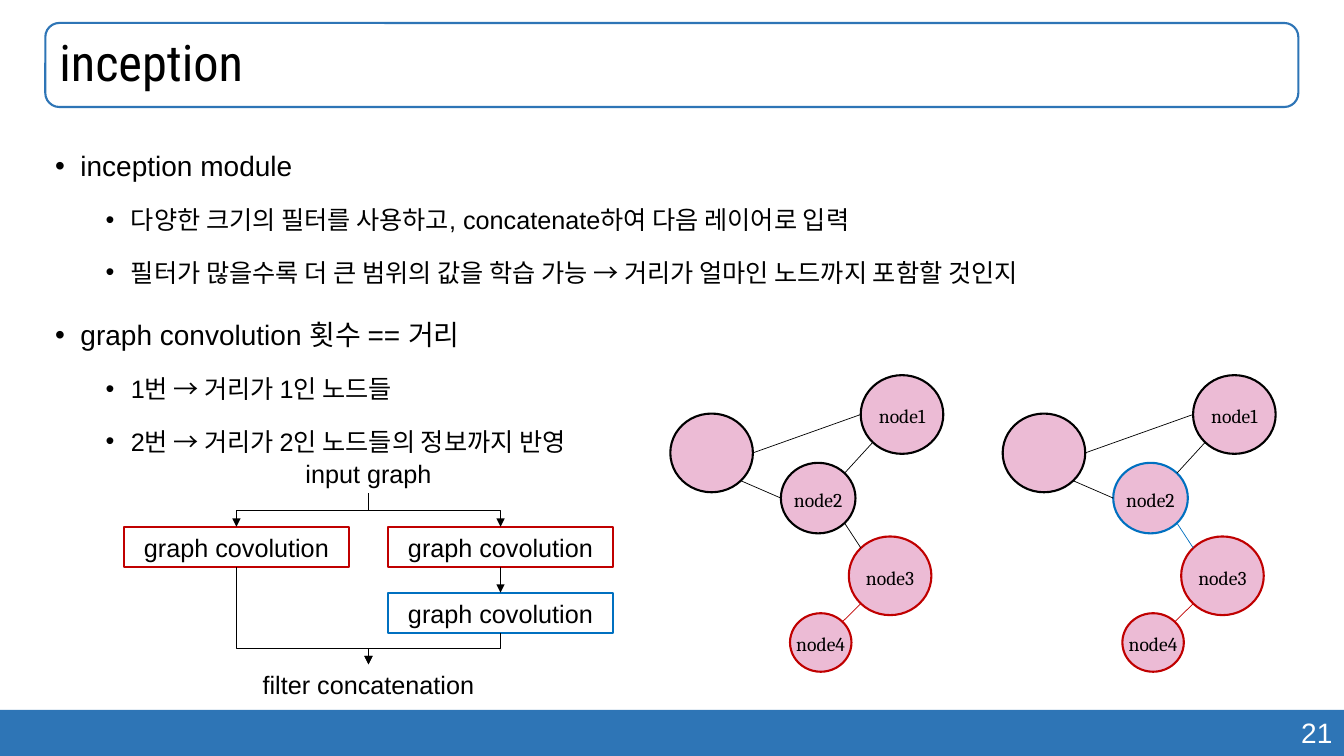
from dataclasses import dataclass

from lxml import etree
from pptx import Presentation
from pptx import util as u
from pptx.dml import color
from pptx.enum import shapes, text
from pptx.oxml import ns


@dataclass(frozen=True)
class Theme:
    bar: str = "2E75B6"
    ink: str = "000000"
    paper: str = "FFFFFF"
    red: str = "C00000"
    blue: str = "0070C0"
    pink: str = "E59FC4"
    pink_alpha: int = 70
    title_font: str = "Roboto Condensed"
    body_font: str = "Arial"
    node_font: str = "Cambria"
    title_size: int = 36
    body_size: int = 20
    detail_size: int = 18
    node_size: int = 14
    outline: float = 1.5
    hairline: float = 0.5


T = Theme()
PRESET = shapes.MSO_SHAPE
ALIGN = text.PP_ALIGN
ANCHOR = text.MSO_ANCHOR


def rgb(value):
    return color.RGBColor.from_string(value)


def sub(parent, tag, **attrs):
    """Append an XML child such as a:tailEnd."""
    return etree.SubElement(parent, ns.qn(tag), attrs)


def add_run(p, content, size, font=T.body_font, ink=T.ink):
    r = p.add_run()
    r.text = content
    r.font.size = u.Pt(size)
    r.font.name = font
    r.font.color.rgb = rgb(ink)


def add_box(parent, preset, box, fill=None, line=None):
    sp = parent.add_shape(preset, *map(u.Pt, box))
    sp.shadow.inherit = False
    if fill:
        sp.fill.solid()
        sp.fill.fore_color.rgb = rgb(fill)
    else:
        sp.fill.background()
    if line:
        sp.line.color.rgb = rgb(line)
        sp.line.width = u.Pt(T.outline)
    else:
        sp.line.fill.background()
    return sp


def add_label(sp, content, size, font=T.body_font, ink=T.ink,
              align=ALIGN.CENTER, anchor=ANCHOR.MIDDLE):
    tf = sp.text_frame
    tf.word_wrap = True
    tf.vertical_anchor = anchor
    p = tf.paragraphs[0]
    p.alignment = align
    add_run(p, content, size, font, ink)
    return p


def add_line(parent, start, end, ink=T.ink, arrow=False, kind="STRAIGHT"):
    c = parent.add_connector(shapes.MSO_CONNECTOR[kind], *map(u.Pt, (*start, *end)))
    c.line.color.rgb = rgb(ink)
    c.line.width = u.Pt(T.hairline)
    if arrow:
        sub(c.line._get_or_add_ln(), "a:tailEnd", type="triangle")
    sub(c._element.spPr, "a:effectLst")
    return c


def add_elbow(parent, start, end, bend_y):
    """Arrow going down, across at bend_y, then down again."""
    (x1, y1), (x2, y2) = start, end
    drop, run = y2 - y1, abs(x2 - x1)
    left, top = (x1 + x2 - drop) / 2, (y1 + y2 - run) / 2
    c = add_line(parent, (left, top), (left + drop, top + run), arrow=True, kind="ELBOW")
    xfrm = c._element.spPr.find(ns.qn("a:xfrm"))
    xfrm.set("rot", str((90 if x2 < x1 else 270) * 60000))
    if x2 > x1:
        xfrm.set("flipH", "1")
    guides = c._element.spPr.find(ns.qn("a:prstGeom")).find(ns.qn("a:avLst"))
    bend = round((bend_y - y1) / drop * 100000)
    sub(guides, "a:gd", name="adj1", fmla=f"val {bend}")


def footer(s, box, number):
    add_box(s.shapes, PRESET.RECTANGLE, box, fill=T.bar)
    x, y, w, h = box
    tb = s.shapes.add_textbox(*map(u.Pt, (x + w - 282, y + 0.7, 280.8, 31.5)))
    add_label(tb, number, T.body_size, ink=T.paper, align=ALIGN.RIGHT, anchor=ANCHOR.TOP)


def title_bar(s, box, title):
    sp = add_box(s.shapes, PRESET.ROUNDED_RECTANGLE, box, line=T.bar)
    sp.text_frame.margin_left = u.Pt(7.2)
    p = add_label(sp, title, T.title_size, T.title_font, align=ALIGN.LEFT)
    p.line_spacing = 0.9


def bullets(s, box, items):
    tf = s.shapes.add_textbox(*map(u.Pt, box)).text_frame
    tf.word_wrap = True
    for i, (level, content) in enumerate(items):
        p = tf.paragraphs[0] if i == 0 else tf.add_paragraph()
        p.level = level
        p.line_spacing = 1.5
        if i:
            p.space_before = u.Pt(5 if level else 10)
        pPr = p._p.get_or_add_pPr()
        pPr.set("marL", str(u.Pt(18 + 36 * level)))
        pPr.set("indent", str(-u.Pt(18)))
        sub(pPr, "a:buFont", typeface=T.body_font)
        sub(pPr, "a:buChar", char="•")
        add_run(p, content, T.detail_size if level else T.body_size)


def inception_flow(s, box):
    g = s.shapes.add_group_shape().shapes
    x, y, w, h = box
    bw, bh = 160.6, 29
    left, mid, right = x + bw / 2, x + w / 2, x + w - bw / 2
    first_y, second_y, out_y = y + 53, y + 100, y + h - bh

    def step(cx, top, content, line=None, width=bw):
        sp = add_box(g, PRESET.RECTANGLE, (cx - width / 2, top, width, bh), line=line)
        add_label(sp, content, T.detail_size)
        return sp

    step(mid, y, "input graph")
    step(left, first_y, "graph covolution", T.red)
    first = step(right, first_y, "graph covolution", T.red)
    second = step(right, second_y, "graph covolution", T.blue)
    step(mid, out_y, "filter concatenation", width=232)

    split_y, join_y = (y + bh + first_y) / 2, (second_y + bh + out_y) / 2
    for cx, last_y in ((left, first_y), (right, second_y)):
        add_elbow(g, (mid, y + bh), (cx, first_y), split_y)
        add_elbow(g, (cx, last_y + bh), (mid, out_y), join_y)
    c = add_line(g, (right, first_y + bh), (right, second_y), arrow=True)
    c.begin_connect(first, 2)
    c.end_connect(second, 0)


def node_graph(s, box, node2_ink):
    """Five nodes; node2 and its link to node3 take node2_ink."""
    g = s.shapes.add_group_shape().shapes
    x, y = box[:2]
    nodes = {
        "": (0, 27.4, 59, 56.2, T.ink),
        "node1": (136, 0, 59, 56.2, T.ink),
        "node3": (127.5, 115.2, 59, 56.2, T.red),
        "node2": (79, 62.6, 53.3, 50.4, node2_ink),
        "node4": (85.5, 170, 43.9, 41.8, T.red),
    }
    for name, (dx, dy, w, h, ink) in nodes.items():
        sp = add_box(g, PRESET.OVAL, (x + dx, y + dy, w, h), T.pink, ink)
        fill = sp._element.spPr.find(ns.qn("a:solidFill"))
        sub(fill[0], "a:alpha", val=str(T.pink_alpha * 1000))
        if name:
            add_label(sp, name, T.node_size, T.node_font)
            tf = sp.text_frame
            tf.word_wrap = False
            tf.margin_left = tf.margin_right = tf.margin_bottom = 0
            tf.margin_top = u.Pt(2)

    diagonal = 0.5 ** 0.5

    def rim(name, side):
        """Point on a node's edge; side holds -1, 0 or 1 across and down."""
        dx, dy, w, h, _ = nodes[name]
        k = diagonal if all(side) else 1
        return x + dx + w / 2 * (1 + k * side[0]), y + dy + h / 2 * (1 + k * side[1])

    for a, a_side, b, b_side, ink in (
        ("", (1, 0), "node1", (-1, 0), T.ink),
        ("", (1, 1), "node2", (-1, 0), T.ink),
        ("node2", (1, -1), "node1", (-1, 1), T.ink),
        ("node3", (-1, -1), "node2", (1, 1), node2_ink),
        ("node4", (1, -1), "node3", (-1, 1), T.red),
    ):
        add_line(g, rim(a, a_side), rim(b, b_side), ink)


def main():
    prs = Presentation()
    prs.slide_width, prs.slide_height = u.Pt(960), u.Pt(540)
    s = prs.slides.add_slide(prs.slide_layouts[6])
    footer(s, (0, 507, 960, 33), "21")
    title_bar(s, (32.4, 16.4, 895, 60), "inception")
    bullets(s, (32.4, 90.7, 895, 398), (
        (0, "inception module"),
        (1, "다양한 크기의 필터를 사용하고, concatenate하여 다음 레이어로 입력"),
        (1, "필터가 많을수록 더 큰 범위의 값을 학습 가능 → 거리가 얼마인 노드까지 포함할 것인지"),
        (0, "graph convolution 횟수 == 거리"),
        (1, "1번 → 거리가 1인 노드들"),
        (1, "2번 → 거리가 2인 노드들의 정보까지 반영"),
    ))
    inception_flow(s, (88.6, 323.3, 349.2, 180.2))
    for left, node2_ink in ((478.8, T.ink), (716.2, T.blue)):
        node_graph(s, (left, 268, 195, 212), node2_ink)
    prs.save("out.pptx")


if __name__ == "__main__":
    main()
